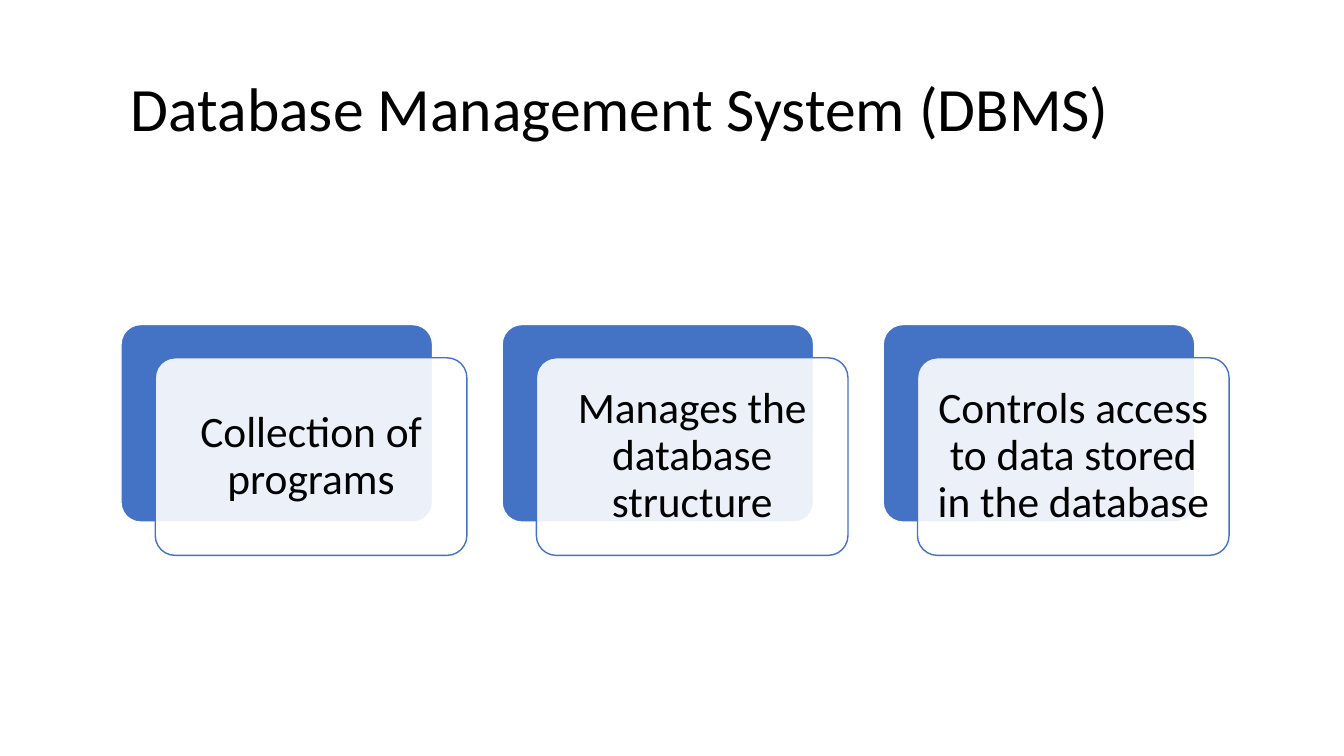
from lxml import etree
from pptx import Presentation
from pptx.dml.color import RGBColor
from pptx.enum.shapes import MSO_SHAPE
from pptx.enum.text import MSO_ANCHOR, PP_ALIGN
from pptx.oxml.ns import qn
from pptx.util import Inches, Pt

ROUNDED = MSO_SHAPE.ROUNDED_RECTANGLE
MIDDLE = MSO_ANCHOR.MIDDLE
LEFT, CENTER = PP_ALIGN.LEFT, PP_ALIGN.CENTER

COLORS = {"white": "FFFFFF", "blue": "4472C4", "black": "000000"}
FONT = "Calibri"

CARD_TEXTS = [
    "Collection of programs",
    "Manages the database structure",
    "Controls access to data stored in the database",
]
CARD_LEFT, CARD_TOP = 1.2, 3.22
CARD_WIDTH, CARD_HEIGHT = 3.09, 1.96
CARD_PITCH = 3.78
FRONT_OFFSET_X, FRONT_OFFSET_Y = 0.34, 0.33
TEXT_MARGIN = 0.06


def color(name):
    return RGBColor.from_string(COLORS[name])


def add_text(slide, text, left, top, width, height, size, alignment, insets):
    """Add a vertically centred text box; insets are horizontal and vertical."""
    box = slide.shapes.add_textbox(
        Inches(left), Inches(top), Inches(width), Inches(height))
    frame = box.text_frame
    frame.word_wrap = True
    frame.vertical_anchor = MIDDLE
    frame.margin_left = frame.margin_right = Inches(insets[0])
    frame.margin_top = frame.margin_bottom = Inches(insets[1])
    paragraph = frame.paragraphs[0]
    paragraph.alignment = alignment
    paragraph.line_spacing = 0.9
    run = paragraph.add_run()
    run.text = text
    run.font.name = FONT
    run.font.size = Pt(size)
    run.font.color.rgb = color("black")


def add_panel(slide, left, top, fill, line, opacity=100):
    shape = slide.shapes.add_shape(
        ROUNDED, Inches(left), Inches(top),
        Inches(CARD_WIDTH), Inches(CARD_HEIGHT))
    shape.adjustments[0] = 0.1
    shape.shadow.inherit = False
    shape.fill.solid()
    shape.fill.fore_color.rgb = color(fill)
    shape.line.color.rgb = color(line)
    shape.line.width = Pt(1)
    if opacity < 100:
        fill_color = shape._element.spPr.find(qn("a:solidFill"))[0]
        alpha = etree.SubElement(fill_color, qn("a:alpha"))
        alpha.set("val", str(opacity * 1000))


def add_card(slide, left, text):
    """Add a blue panel, a translucent panel offset over it, and the text."""
    front_left = left + FRONT_OFFSET_X
    front_top = CARD_TOP + FRONT_OFFSET_Y
    add_panel(slide, left, CARD_TOP, "blue", "white")
    add_panel(slide, front_left, front_top, "white", "blue", opacity=90)
    add_text(slide, text, front_left + TEXT_MARGIN, front_top + TEXT_MARGIN,
             CARD_WIDTH - 2 * TEXT_MARGIN, CARD_HEIGHT - 2 * TEXT_MARGIN,
             31, CENTER, (0.13, 0.13))


def main():
    presentation = Presentation()
    presentation.slide_width = Inches(13.33)
    presentation.slide_height = Inches(7.5)
    slide = presentation.slides.add_slide(presentation.slide_layouts[6])
    add_text(slide, "Database Management System (DBMS)",
             1.2, 0.31, 11, 1.59, 44, LEFT, (0.1, 0.05))
    for index, text in enumerate(CARD_TEXTS):
        add_card(slide, CARD_LEFT + index * CARD_PITCH, text)
    presentation.save("out.pptx")


if __name__ == "__main__":
    main()
